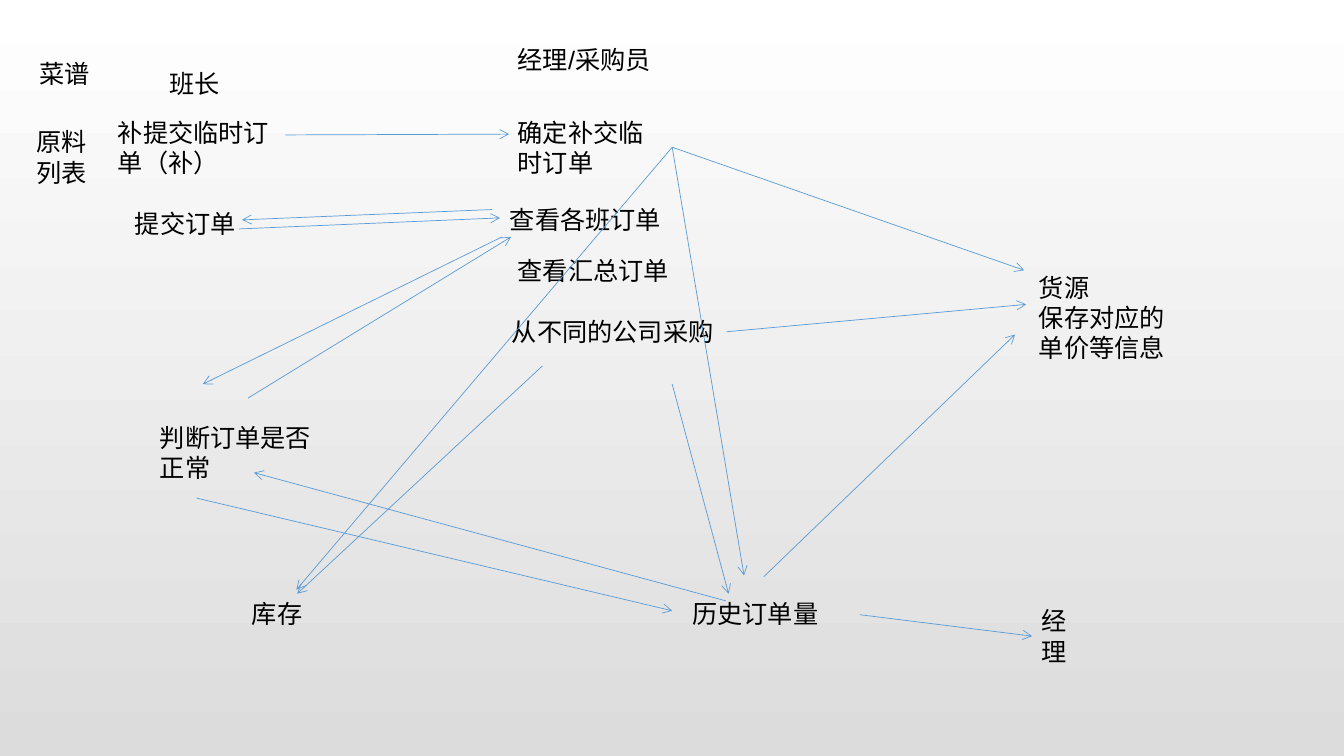
import collections
import dataclasses

import pptx
import pptx.dml.color
import pptx.enum.shapes
import pptx.enum.text
import pptx.oxml
import pptx.oxml.ns
import pptx.util

Cm = pptx.util.Cm
Box = collections.namedtuple("Box", "left top width height")


@dataclasses.dataclass(frozen=True)
class Theme:
    font: str = "Arial"
    body_size: float = 18
    arrow_width: float = 0.5
    text: str = "000000"
    arrow: str = "5B9BD5"
    sky: str = "FFFFFF"
    ground: str = "DCDCDC"
    text_padding: float = 0.24
    line_height: float = 0.78


THEME = Theme()


def color(code):
    return pptx.dml.color.RGBColor.from_string(code)


def add_label(page, region, text, *, left, top, width, lines=1,
              size=THEME.body_size, ink=THEME.text):
    height = THEME.text_padding + THEME.line_height * lines
    box = page.shapes.add_textbox(
        Cm(region.left + left), Cm(region.top + top), Cm(width), Cm(height))
    frame = box.text_frame
    frame.word_wrap = True
    frame.auto_size = pptx.enum.text.MSO_AUTO_SIZE.SHAPE_TO_FIT_TEXT
    frame.text = text
    for para in frame.paragraphs:
        for span in para.runs:
            span.font.name = THEME.font
            span.font.size = pptx.util.Pt(size)
            span.font.color.rgb = color(ink)


def add_arrow(page, region, start, end):
    arrow = page.shapes.add_connector(
        pptx.enum.shapes.MSO_CONNECTOR.STRAIGHT,
        Cm(region.left + start[0]), Cm(region.top + start[1]),
        Cm(region.left + end[0]), Cm(region.top + end[1]))
    arrow.line.color.rgb = color(THEME.arrow)
    arrow.line.width = pptx.util.Pt(THEME.arrow_width)
    namespace = pptx.oxml.ns.nsdecls("a")
    arrow.line._get_or_add_ln().append(
        pptx.oxml.parse_xml(f'<a:tailEnd {namespace} type="arrow"/>'))
    arrow._element.spPr.append(
        pptx.oxml.parse_xml(f"<a:effectLst {namespace}/>"))


def fill_background(page):
    fill = page.background.fill
    fill.gradient()
    fill.gradient_angle = 270
    for stop, code in zip(fill.gradient_stops, (THEME.sky, THEME.ground)):
        stop.color.rgb = color(code)


def build_menu(page, region):
    add_label(page, region, "菜谱", left=0.08, top=0, width=3.05)
    add_label(page, region, "原料列表", left=0, top=1.72, width=1.85, lines=2)


def build_monitor(page, region):
    add_label(page, region, "班长", left=1.29, top=0, width=2.69)
    add_label(page, region, "补提交临时订单（补）",
              left=0, top=1.22, width=4.78, lines=2)
    add_label(page, region, "提交订单", left=0.43, top=3.53, width=5.05)
    add_label(page, region, "判断订单是否正常",
              left=1.06, top=8.92, width=4.42, lines=2)


def build_manager(page, region):
    add_label(page, region, "经理/采购员", left=0.2, top=0, width=5.26)
    add_label(page, region, "确定补交临时订单",
              left=0.2, top=1.83, width=4.17, lines=2)
    add_label(page, region, "查看各班订单", left=0, top=4.04, width=4.57)
    add_label(page, region, "查看汇总订单", left=0.2, top=5.31, width=4.6)
    add_label(page, region, "从不同的公司采购", left=0.05, top=6.86, width=5.69)


def build_records(page, region):
    add_label(page, region, "库存", left=0, top=0, width=4.11)
    add_label(page, region, "历史订单量", left=11.1, top=0, width=7.59)


def build_supply(page, region):
    add_label(page, region, "货源\n保存对应的单价等信息",
              left=0, top=0, width=4.11, lines=3)
    add_label(page, region, "经理", left=0.08, top=8.41, width=1.75, lines=2)


def build_flows(page, region):
    confirmed = (16.94, 3.71)
    flows = [
        ((12.65, 5.97), (5.11, 9.68)),
        ((4.95, 12.55), (16.94, 15.39)),
        ((18.29, 15.14), (6.4, 11.91)),
        ((6.02, 5.77), (12.6, 5.49)),
        ((6.25, 10.03), (12.88, 5.97)),
        ((13.67, 9.22), (7.49, 14.96)),
        ((16.94, 9.68), (18.36, 14.96)),
        ((18.31, 8.36), (25.86, 7.67)),
        ((19.25, 14.53), (25.58, 8.43)),
        ((12.4, 5.28), (6.1, 5.54)),
        ((7.19, 3.4), (12.83, 3.38)),
        (confirmed, (25.81, 6.81)),
        (confirmed, (18.75, 14.5)),
        (confirmed, (7.47, 14.86)),
        ((21.67, 15.49), (26.01, 16.03)),
    ]
    for start, end in flows:
        add_arrow(page, region, start, end)


def build_order_flow(deck, region):
    page = deck.slides.add_slide(deck.slide_layouts[6])
    fill_background(page)
    parts = [
        (build_menu, Box(0.66, 1.35, 3.13, 3.52)),
        (build_monitor, Box(2.72, 1.6, 5.48, 10.72)),
        (build_manager, Box(12.6, 0.99, 5.74, 7.88)),
        (build_records, Box(6.1, 14.94, 18.69, 1.02)),
        (build_supply, Box(25.93, 6.73, 4.11, 10.21)),
        (build_flows, Box(0, 0, region.width, region.height)),
    ]
    for build, part in parts:
        build(page, part._replace(left=region.left + part.left,
                                  top=region.top + part.top))


deck = pptx.Presentation()
whole = Box(0, 0, 33.87, 19.05)
deck.slide_width = Cm(whole.width)
deck.slide_height = Cm(whole.height)
build_order_flow(deck, whole)
deck.save("out.pptx")
